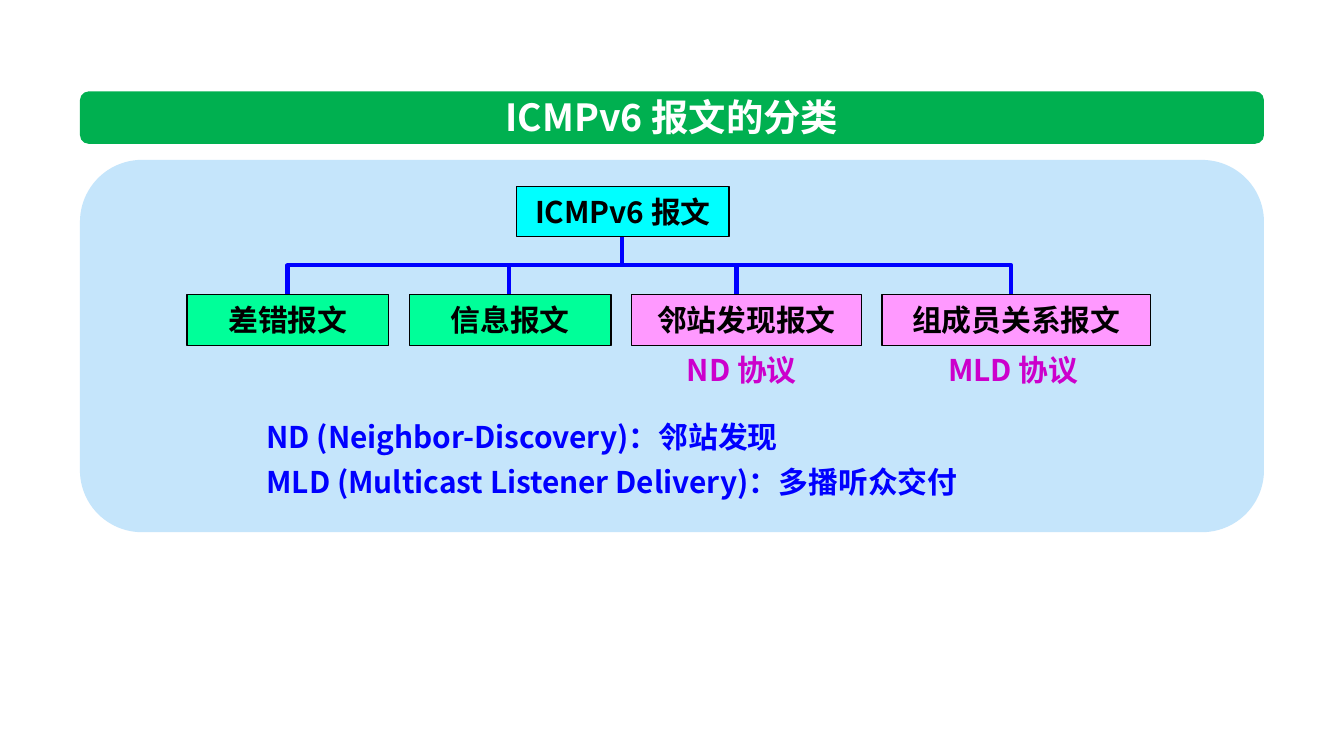
from dataclasses import dataclass

from lxml import etree
from pptx import Presentation
from pptx.dml.color import RGBColor
from pptx.enum.shapes import MSO_CONNECTOR, MSO_SHAPE
from pptx.enum.text import MSO_ANCHOR, PP_ALIGN
from pptx.oxml.ns import qn
from pptx.util import Inches, Pt

RECT, ROUND = MSO_SHAPE.RECTANGLE, MSO_SHAPE.ROUNDED_RECTANGLE
STRAIGHT = MSO_CONNECTOR.STRAIGHT
LEFT, CENTER = PP_ALIGN.LEFT, PP_ALIGN.CENTER
TOP, MIDDLE = MSO_ANCHOR.TOP, MSO_ANCHOR.MIDDLE

WHITE = RGBColor(0xFF, 0xFF, 0xFF)
BLACK = RGBColor(0x00, 0x00, 0x00)
GREEN = RGBColor(0x00, 0xB0, 0x50)
SKY = RGBColor(0xC5, 0xE5, 0xFB)
CYAN = RGBColor(0x00, 0xFF, 0xFF)
MINT = RGBColor(0x00, 0xFF, 0x99)
PINK = RGBColor(0xFF, 0x99, 0xFF)
BLUE = RGBColor(0x00, 0x00, 0xFF)
PURPLE = RGBColor(0xCC, 0x00, 0xCC)

FONT = "Noto Sans CJK SC"
CELL = Inches(0.1)  # one column or row of the grid
COLS, ROWS = 100, 56.25


@dataclass(frozen=True)
class Box:
    left: float
    top: float
    width: float
    height: float

    def place(self) -> tuple[int, ...]:
        """Return the box in slide units."""
        return tuple(grid(n) for n in (self.left, self.top, self.width, self.height))


@dataclass(frozen=True)
class Node:
    text: str
    width: float
    fill: RGBColor
    drop: float  # column where the branch line comes down


@dataclass(frozen=True)
class Label:
    text: str
    box: Box


NODES = (
    Node("差错报文", 15, MINT, 21.4),
    Node("信息报文", 15, MINT, 37.9),
    Node("邻站发现报文", 17.1, PINK, 54.8),
    Node("组成员关系报文", 20, PINK, 75.25),
)
LABELS = (
    Label("ND 协议", Box(48.55, 25.7, 13.3, 3.1)),
    Label("MLD 协议", Box(67.75, 25.7, 15.3, 3.1)),
)
NOTES = (
    "ND (Neighbor-Discovery)：邻站发现",
    "MLD (Multicast Listener Delivery)：多播听众交付",
)
BAND = Box(5.95, 6.8, 88.1, 3.9)
PANEL = Box(5.95, 11.9, 88.1, 27.7)
ROOT = Box(38.45, 13.9, 15.8, 3.7)
TRUNK, BAR = 46.3, 19.75
FIRST, GAP = 13.93, 1.53
NODE_TOP, NODE_TALL = 21.9, 3.8


def grid(count: float) -> int:
    return round(count * CELL)


def write(shape, lines, color, size=16, align=CENTER, anchor=MIDDLE,
          wrap=True, pitch=None) -> None:
    frame = shape.text_frame
    frame.text = "\n".join(lines)
    frame.word_wrap = wrap
    frame.vertical_anchor = anchor
    for para in frame.paragraphs:
        para.alignment = align
        if pitch:
            para.line_spacing = Pt(pitch)
        font = para.font
        font.size, font.bold, font.name = Pt(size), True, FONT
        font.color.rgb = color
        latin = para._p.find(".//" + qn("a:latin"))
        east = etree.Element(qn("a:ea"), typeface=FONT)
        latin.addnext(east)


def block(slide, kind, box: Box, fill: RGBColor):
    shape = slide.shapes.add_shape(kind, *box.place())
    shape.shadow.inherit = False
    shape.fill.solid()
    shape.fill.fore_color.rgb = fill
    shape.line.fill.background()
    return shape


def stroke(shape, color: RGBColor, width: float) -> None:
    shape.line.color.rgb = color
    shape.line.width = Pt(width)


def node(slide, text: str, box: Box, fill: RGBColor) -> None:
    shape = block(slide, RECT, box, fill)
    stroke(shape, BLACK, 0.75)
    write(shape, [text], BLACK, wrap=False)


def stem(slide, col: float, top: float, end: float) -> None:
    """Draw an upright line of the tree."""
    line = slide.shapes.add_connector(
        STRAIGHT, grid(col), grid(top), grid(col), grid(end))
    stroke(line, BLUE, 2.25)
    etree.SubElement(line._element.spPr, qn("a:effectLst"))


def fork(slide, left: float, right: float) -> None:
    """Draw the bar with its two outer branches."""
    pen = slide.shapes.build_freeform(grid(left), grid(NODE_TOP))
    points = ((left, BAR), (right, BAR), (right, NODE_TOP))
    pen.add_line_segments([(grid(x), grid(y)) for x, y in points], close=False)
    shape = pen.convert_to_shape()
    shape.shadow.inherit = False
    shape.fill.background()
    stroke(shape, BLUE, 2.25)


def head(slide) -> None:
    block(slide, ROUND, BAND, GREEN).adjustments[0] = 0.167
    title = slide.shapes.title
    title.left, title.top, title.width, title.height = Box(21.25, 6.5, 57.5, 4.4).place()
    write(title, ["ICMPv6 报文的分类"], WHITE, size=20)
    slide.shapes._spTree.append(title._element)  # bring above the band


def tree(slide) -> None:
    node(slide, "ICMPv6 报文", ROOT, CYAN)
    left = FIRST
    for item in NODES:
        node(slide, item.text, Box(left, NODE_TOP, item.width, NODE_TALL), item.fill)
        left += item.width + GAP
    fork(slide, NODES[0].drop, NODES[-1].drop)
    for item in NODES[1:-1]:
        stem(slide, item.drop, BAR, NODE_TOP)
    stem(slide, TRUNK, ROOT.top + ROOT.height, BAR)


def main() -> None:
    deck = Presentation()
    deck.slide_width, deck.slide_height = grid(COLS), grid(ROWS)
    slide = deck.slides.add_slide(deck.slide_layouts[5])
    head(slide)
    block(slide, ROUND, PANEL, SKY)
    tree(slide)
    for label in LABELS:
        area = slide.shapes.add_textbox(*label.box.place())
        write(area, [label.text], PURPLE, anchor=TOP)
    area = slide.shapes.add_textbox(*Box(18.85, 30, 67.9, 7.7).place())
    write(area, NOTES, BLUE, align=LEFT, anchor=TOP, pitch=24)
    deck.save("out.pptx")


if __name__ == "__main__":
    main()
